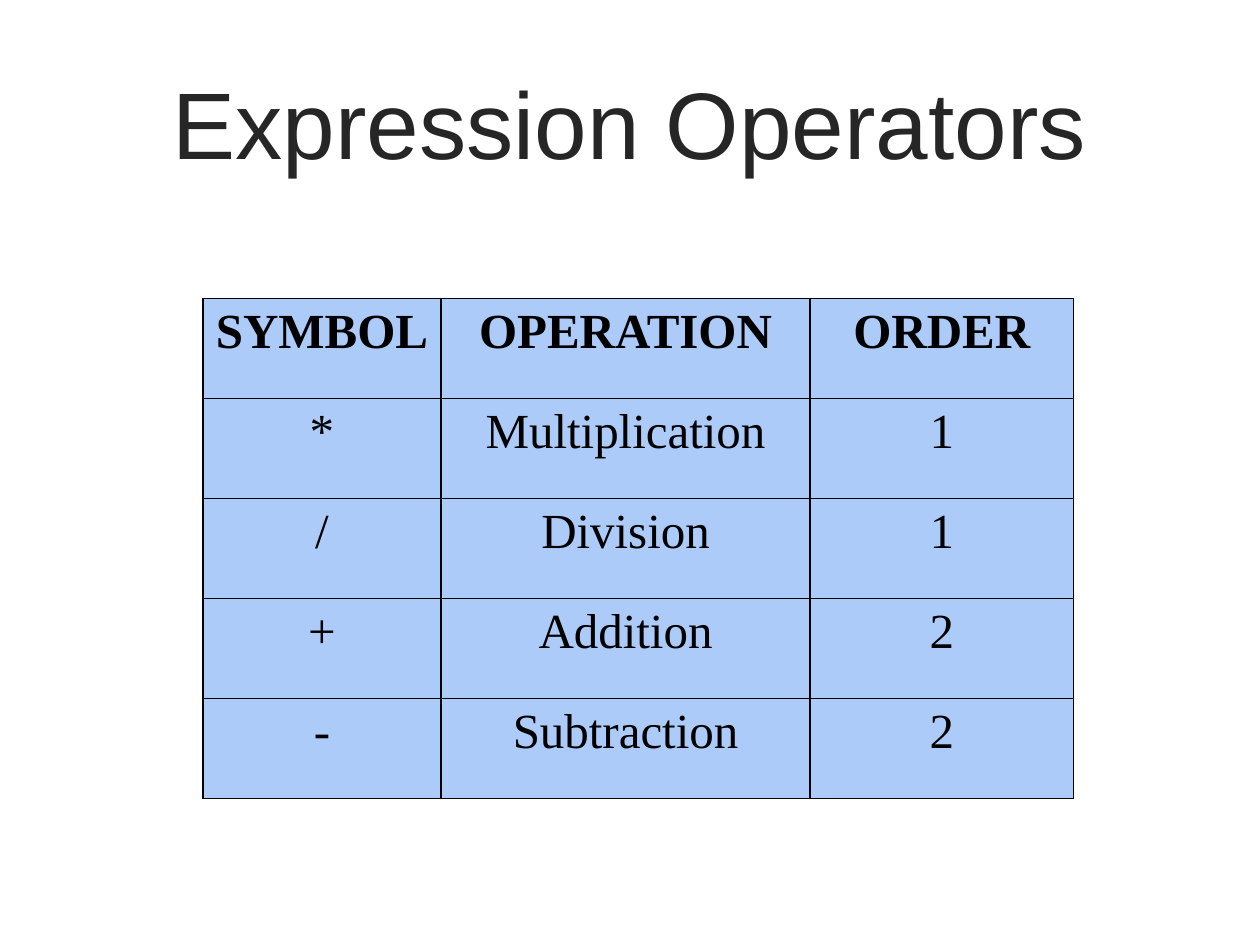
from pptx import Presentation
from pptx.dml.color import RGBColor
from pptx.enum.text import MSO_ANCHOR as Anchor, PP_ALIGN as Align
from pptx.oxml import parse_xml
from pptx.oxml.ns import nsdecls
from pptx.util import Pt

COLORS = {"title": "262626", "text": "000000", "cell": "ACCBF9", "border": "000000"}
COLUMN_WIDTHS = [136.08, 210.96, 150.48]
ROW_HEIGHT = 57.15
OPERATORS = [
    ("SYMBOL", "OPERATION", "ORDER"),
    ("*", "Multiplication", "1"),
    ("/", "Division", "1"),
    ("+", "Addition", "2"),
    ("-", "Subtraction", "2"),
]


def write(frame, text, size, font, color, bold=False):
    """Put one centred, formatted line into a text frame."""
    frame.text = text
    para = frame.paragraphs[0]
    para.alignment = Align.CENTER
    span = para.runs[0]
    span.font.size = Pt(size)
    span.font.name = font
    span.font.bold = bold
    span.font.color.rgb = RGBColor.from_string(COLORS[color])


def add_title(page, text):
    box = page.shapes.add_textbox(Pt(56.9), Pt(24.5), Pt(605.5), Pt(90))
    box.text_frame.word_wrap = True
    box.text_frame.vertical_anchor = Anchor.MIDDLE
    write(box.text_frame, text, 54, "Arial", "title")


def set_borders(cell, width=1):
    """Draw a solid line on all four sides; must run before the fill is set."""
    properties = cell._tc.get_or_add_tcPr()
    for side in ("lnL", "lnR", "lnT", "lnB"):
        properties.append(parse_xml(
            f'<a:{side} {nsdecls("a")} w="{Pt(width)}"><a:solidFill>'
            f'<a:srgbClr val="{COLORS["border"]}"/></a:solidFill></a:{side}>'))


def add_operator_table(page, rows):
    frame = page.shapes.add_table(
        len(rows), len(COLUMN_WIDTHS), Pt(115.92), Pt(170.5),
        Pt(sum(COLUMN_WIDTHS)), Pt(ROW_HEIGHT * len(rows)))
    table = frame.table
    for column, width in zip(table.columns, COLUMN_WIDTHS):
        column.width = Pt(width)
    for index, values in enumerate(rows):
        table.rows[index].height = Pt(ROW_HEIGHT)
        for cell, value in zip(table.rows[index].cells, values):
            set_borders(cell)
            cell.fill.solid()
            cell.fill.fore_color.rgb = RGBColor.from_string(COLORS["cell"])
            write(cell.text_frame, value, 28, "Times New Roman", "text", bold=index == 0)


def main():
    deck = Presentation()
    deck.slide_width, deck.slide_height = Pt(720), Pt(540)
    page = deck.slides.add_slide(deck.slide_layouts[6])

    # Heading
    add_title(page, "Expression Operators")

    # Operators and their order of evaluation
    add_operator_table(page, OPERATORS)

    deck.save("out.pptx")


if __name__ == "__main__":
    main()
